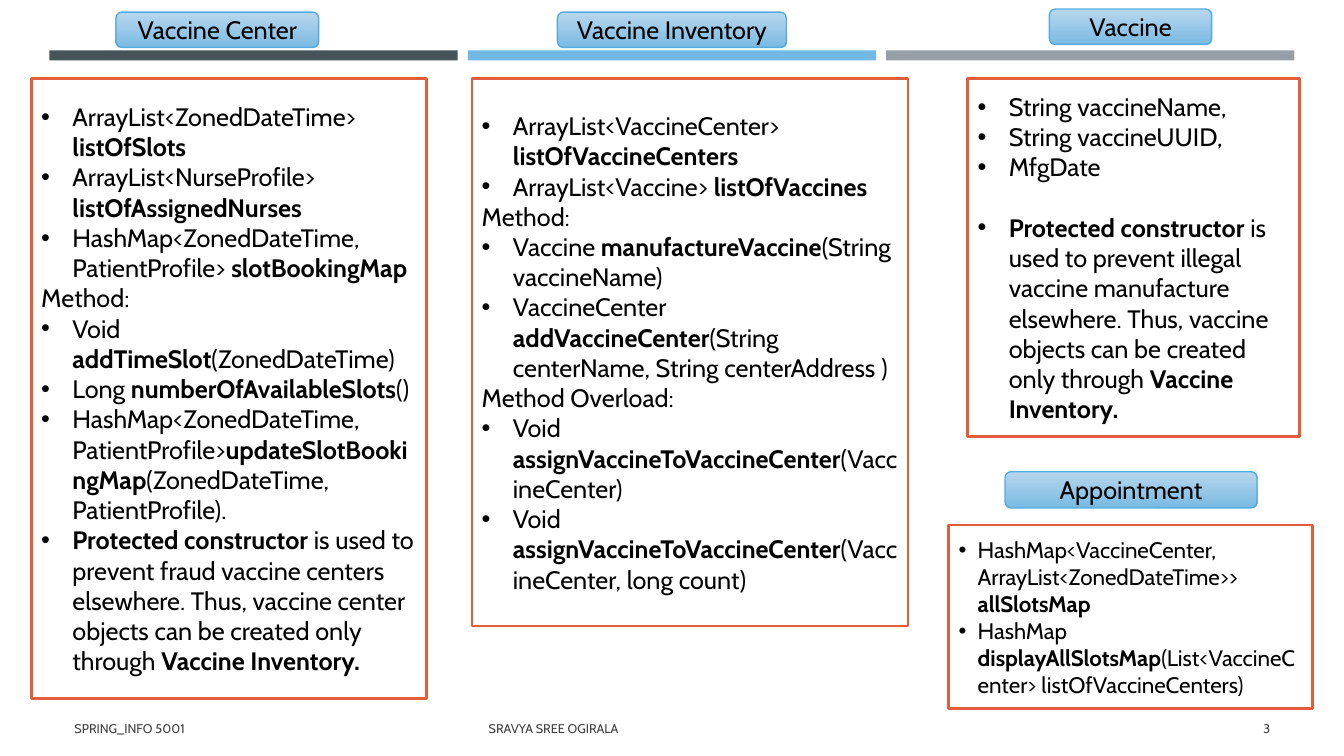
import pptx
import pptx.util
import pptx.dml.color
import pptx.enum.shapes
import pptx.enum.text
import pptx.oxml.ns
import lxml.etree

FONT = "Cabin"
SLIDE_WIDTH, SLIDE_HEIGHT = 13.33, 7.5

# Places are left, top, width, height in percent of the slide's size.
BAR_COLOURS = ["465359", "71B9E4", "969FA7"]
BAR_PLACE = (3.68, 6.67, 30.38, 1.33)
BAR_STEP = 31.13

# Text between double asterisks is bold; a line ending in a colon has no bullet.
CARDS = [
    {
        "title": "Vaccine Center", "title_place": (8.63, 1.6, 15.08, 4.67),
        "panel_place": (2.33, 10.4, 29.4, 82), "size": 18, "indent": 0.31,
        "lines": [
            "ArrayList<ZonedDateTime> **listOfSlots**",
            "ArrayList<NurseProfile> **listOfAssignedNurses**",
            "HashMap<ZonedDateTime, PatientProfile> **slotBookingMap**",
            "Method:",
            "Void **addTimeSlot**(ZonedDateTime)",
            "Long **numberOfAvailableSlots**()",
            "HashMap<ZonedDateTime, PatientProfile>**updateSlotBookingMap**"
            "(ZonedDateTime, PatientProfile).",
            "**Protected constructor **is used to prevent fraud vaccine centers elsewhere. "
            "Thus, vaccine center objects can be created only through **Vaccine Inventory.**",
        ],
    },
    {
        "title": "Vaccine Inventory", "title_place": (41.48, 1.6, 17.03, 4.67),
        "panel_place": (35.1, 10.4, 32.48, 72.4), "size": 18, "indent": 0.31,
        "lines": [
            "ArrayList<VaccineCenter> **listOfVaccineCenters**",
            "ArrayList<Vaccine> **listOfVaccines**",
            "Method:",
            "Vaccine **manufactureVaccine**(String vaccineName)",
            "VaccineCenter** addVaccineCenter**(String centerName, String centerAddress )",
            "Method Overload:",
            "Void **assignVaccineToVaccineCenter**(VaccineCenter)",
            "Void **assignVaccineToVaccineCenter**(VaccineCenter, long count)",
        ],
    },
    {
        "title": "Vaccine", "title_place": (78.08, 1.2, 12.08, 4.67),
        "panel_place": (72, 10.4, 24.68, 47.33), "size": 18, "indent": 0.31,
        "gap_before_last": 21.6,
        "lines": [
            "String vaccineName,",
            "String vaccineUUID,",
            "MfgDate",
            "**Protected constructor **is used to prevent illegal vaccine manufacture elsewhere. "
            "Thus, vaccine objects can be created only through **Vaccine Inventory.**",
        ],
    },
    {
        "title": "Appointment", "title_place": (74.78, 62.4, 18.75, 4.8),
        "panel_place": (70.58, 69.47, 27.08, 24.27), "size": 16, "indent": 0.19,
        "lines": [
            "HashMap<VaccineCenter, ArrayList<ZonedDateTime>> **allSlotsMap**",
            "HashMap** displayAllSlotsMap**(List<VaccineCenter> listOfVaccineCenters)",
        ],
    },
]

ALIGN = pptx.enum.text.PP_ALIGN
FOOTERS = [
    ("SPRING_INFO 5001", (4.8, 93.73, 22, 5.33), ALIGN.LEFT),
    ("SRAVYA SREE OGIRALA", (35.62, 93.73, 25.9, 5.33), ALIGN.LEFT),
    ("3", (86.63, 93.73, 8.63, 5.33), ALIGN.RIGHT),
]

SHAPE = pptx.enum.shapes.MSO_SHAPE


def colour(hex_string):
    return pptx.dml.color.RGBColor.from_string(hex_string)


def to_lengths(place):
    left, top, width, height = place
    return [
        pptx.util.Inches(share * side / 100)
        for share, side in ((left, SLIDE_WIDTH), (top, SLIDE_HEIGHT),
                            (width, SLIDE_WIDTH), (height, SLIDE_HEIGHT))
    ]


def add_box(slide, kind, place, fill=None, line=None, line_width=1):
    shape = slide.shapes.add_shape(kind, *to_lengths(place))
    shape.shadow.inherit = False
    if fill:
        shape.fill.solid()
        shape.fill.fore_color.rgb = colour(fill)
    if line:
        shape.line.color.rgb = colour(line)
        shape.line.width = pptx.util.Pt(line_width)
    else:
        shape.line.fill.background()
    return shape


def fill_with_gradient(shape):
    shape.fill.gradient()
    shape.fill.gradient_angle = 270
    for stop, position, hex_string in zip(shape.fill.gradient_stops, (0, 1), ("B0D3ED", "79BAE4")):
        stop.position = position
        stop.color.rgb = colour(hex_string)
    first_colour = shape._element.spPr.find(".//" + pptx.oxml.ns.qn("a:srgbClr"))
    lxml.etree.SubElement(first_colour, pptx.oxml.ns.qn("a:alpha"), val="90000")


def add_run(paragraph, text, size, hex_string="000000", bold=False):
    run = paragraph.add_run()
    run.text = text
    run.font.name = FONT
    run.font.size = pptx.util.Pt(size)
    run.font.bold = bold
    run.font.color.rgb = colour(hex_string)


def prepare_frame(shape):
    frame = shape.text_frame
    frame.word_wrap = True
    frame.vertical_anchor = pptx.enum.text.MSO_ANCHOR.MIDDLE
    return frame


def add_bullet(paragraph, indent):
    properties = paragraph._p.get_or_add_pPr()
    hanging = pptx.util.Inches(indent)
    properties.set("marL", str(hanging))
    properties.set("indent", str(-hanging))
    lxml.etree.SubElement(properties, pptx.oxml.ns.qn("a:buFont"), typeface="Arial")
    lxml.etree.SubElement(properties, pptx.oxml.ns.qn("a:buChar"), char="•")


def add_card(slide, card):
    title = add_box(slide, SHAPE.ROUNDED_RECTANGLE, card["title_place"], line="54ABDF")
    fill_with_gradient(title)
    paragraph = prepare_frame(title).paragraphs[0]
    paragraph.alignment = ALIGN.CENTER
    add_run(paragraph, card["title"], 18)

    panel = add_box(slide, SHAPE.RECTANGLE, card["panel_place"], "FFFFFF", "E25D3C", 1.75)
    frame = prepare_frame(panel)
    for number, line in enumerate(card["lines"]):
        paragraph = frame.add_paragraph() if number else frame.paragraphs[0]
        paragraph.alignment = ALIGN.LEFT
        if number == len(card["lines"]) - 1 and "gap_before_last" in card:
            paragraph.space_before = pptx.util.Pt(card["gap_before_last"])
        if not line.endswith(":"):
            add_bullet(paragraph, card["indent"])
        for part, text in enumerate(line.split("**")):
            if text:
                add_run(paragraph, text, card["size"], bold=part % 2 == 1)


def main():
    presentation = pptx.Presentation()
    presentation.slide_width = pptx.util.Inches(SLIDE_WIDTH)
    presentation.slide_height = pptx.util.Inches(SLIDE_HEIGHT)
    slide = presentation.slides.add_slide(presentation.slide_layouts[6])

    left, top, width, height = BAR_PLACE
    for column, hex_string in enumerate(BAR_COLOURS):
        add_box(slide, SHAPE.RECTANGLE, (left + column * BAR_STEP, top, width, height), hex_string)

    for card in CARDS:
        add_card(slide, card)

    for text, place, alignment in FOOTERS:
        footer = slide.shapes.add_textbox(*to_lengths(place))
        paragraph = prepare_frame(footer).paragraphs[0]
        paragraph.alignment = alignment
        add_run(paragraph, text, 9, "404040")

    presentation.save("out.pptx")


if __name__ == "__main__":
    main()
